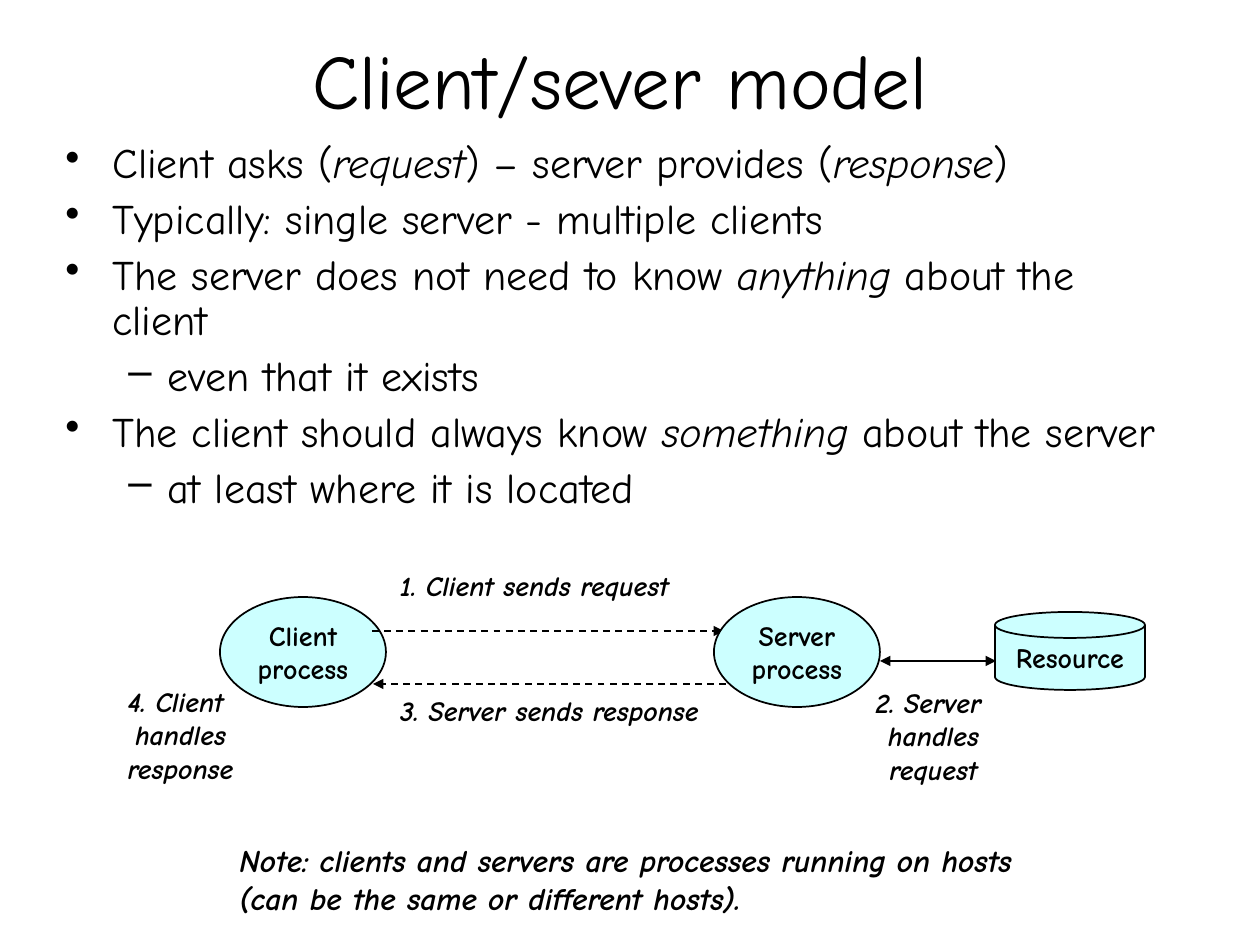
import pptx
import pptx.util
import pptx.dml.color
import pptx.enum.dml
import pptx.enum.shapes
import pptx.enum.text
import pptx.oxml.ns
import lxml.etree

BLACK = pptx.dml.color.RGBColor(0x00, 0x00, 0x00)
CYAN = pptx.dml.color.RGBColor(0xCC, 0xFF, 0xFF)
SHAPE = pptx.enum.shapes.MSO_SHAPE
ALIGN = pptx.enum.text.PP_ALIGN
ANCHOR = pptx.enum.text.MSO_ANCHOR
FIT = pptx.enum.text.MSO_AUTO_SIZE
PX = 914400 / 126


def emu(*sizes):
    return [pptx.util.Emu(round(size * PX)) for size in sizes]


def add_node(parent, tag, **attrs):
    node = lxml.etree.SubElement(parent, pptx.oxml.ns.qn(tag))
    for key, value in attrs.items():
        node.set(key, str(value))
    return node


class Page:
    font = "Comic Neue"

    def __init__(self, deck):
        self.slide = deck.slides.add_slide(deck.slide_layouts[5])
        self.shapes = self.slide.shapes

    def style(self, para, size, bold=False, italic=None):
        font = para.font
        font.name, font.size = self.font, pptx.util.Pt(size)
        font.bold, font.italic = bold, italic
        font.color.rgb = BLACK

    def fill_text(self, frame, text, size, align=ALIGN.CENTER, italic=False):
        """Write one bold paragraph for each line of text."""
        frame.word_wrap = False
        for i, line in enumerate(text.split("\n")):
            para = frame.add_paragraph() if i else frame.paragraphs[0]
            para.text = line
            para.alignment = align
            self.style(para, size, True, italic)

    def title(self, text, *box):
        shape = self.shapes.title
        shape.left, shape.top, shape.width, shape.height = emu(*box)
        frame = shape.text_frame
        frame.text = text
        frame.vertical_anchor = ANCHOR.MIDDLE
        para = frame.paragraphs[0]
        para.alignment = ALIGN.CENTER
        self.style(para, 44)

    def bullets(self, items, *box):
        """Write (level, text) items; every second part between * is italic."""
        frame = self.shapes.add_textbox(*emu(*box)).text_frame
        frame.word_wrap = True
        marks = [("•", 47, -47), ("–", 102, -39)]
        for i, (level, text) in enumerate(items):
            para = frame.add_paragraph() if i else frame.paragraphs[0]
            para.level = level
            para.line_spacing = 0.9
            para.space_before = pptx.util.Pt(6 if i else 0)
            mark, margin, indent = marks[level]
            props = para._p.get_or_add_pPr()
            left, first = emu(margin, indent)
            props.set("marL", str(left))
            props.set("indent", str(first))
            add_node(props, "a:buChar", char=mark)
            self.style(para, 24)
            for j, part in enumerate(text.split("*")):
                if part:
                    run = para.add_run()
                    run.text = part
                    if j % 2:
                        run.font.italic = True

    def node(self, kind, text, *box):
        shape = self.shapes.add_shape(kind, *emu(*box))
        shape.shadow.inherit = False
        shape.fill.solid()
        shape.fill.fore_color.rgb = CYAN
        shape.line.color.rgb = BLACK
        shape.line.width = pptx.util.Pt(1)
        shape.text_frame.vertical_anchor = ANCHOR.MIDDLE
        self.fill_text(shape.text_frame, text, 16)

    def arrow(self, start, end, dash=True, both=False):
        """Draw a line with a head at its end, or at both ends."""
        line = self.shapes.add_connector(
            pptx.enum.shapes.MSO_CONNECTOR.STRAIGHT, *emu(*start, *end))
        line.line.color.rgb = BLACK
        line.line.width = pptx.util.Pt(1)
        if dash:
            line.line.dash_style = pptx.enum.dml.MSO_LINE.DASH
        stroke = line.line._get_or_add_ln()
        if both:
            add_node(stroke, "a:headEnd", type="triangle")
        add_node(stroke, "a:tailEnd", type="triangle")
        add_node(line._element.spPr, "a:effectLst")

    def label(self, text, *box, size=16, align=ALIGN.CENTER, anchor=ANCHOR.MIDDLE):
        frame = self.shapes.add_textbox(*emu(*box)).text_frame
        frame.auto_size = FIT.SHAPE_TO_FIT_TEXT
        frame.vertical_anchor = anchor
        self.fill_text(frame, text, size, align, True)


def main():
    deck = pptx.Presentation()
    deck.slide_width, deck.slide_height = emu(1260, 945)
    page = Page(deck)
    page.title("Client/sever model", 53, 0, 1134, 158)
    page.bullets([
        (0, "Client asks (*request*) – server provides (*response*)"),
        (0, "Typically: single server - multiple clients"),
        (0, "The server does not need to know *anything* about the client"),
        (1, "even that it exists"),
        (0, "The client should always know *something* about the server"),
        (1, "at least where it is located"),
    ], 53, 136, 1134, 624)

    page.node(SHAPE.OVAL, "Client\nprocess", 220, 597, 166, 110)
    page.arrow((372, 631), (724, 631))
    page.node(SHAPE.OVAL, "Server\nprocess", 714, 597, 166, 110)
    page.label("1. Client sends request", 387, 562, 295, 47)
    page.label("2. Server \nhandles\nrequest", 863, 679, 141, 113)
    page.arrow((726, 684), (373, 684))
    page.label("3. Server sends response", 387, 687, 325, 47)
    page.label("4. Client \nhandles\nresponse", 115, 678, 131, 113)
    page.arrow((880, 661), (996, 661), dash=False, both=True)
    page.node(SHAPE.FLOWCHART_MAGNETIC_DISK, "Resource", 995, 612, 150, 78)
    page.label("Note: clients and servers are processes running on hosts\n"
               "(can be the same or different hosts).",
               227, 835, 811, 88, size=18, align=ALIGN.LEFT, anchor=ANCHOR.TOP)
    deck.save("out.pptx")


if __name__ == "__main__":
    main()
